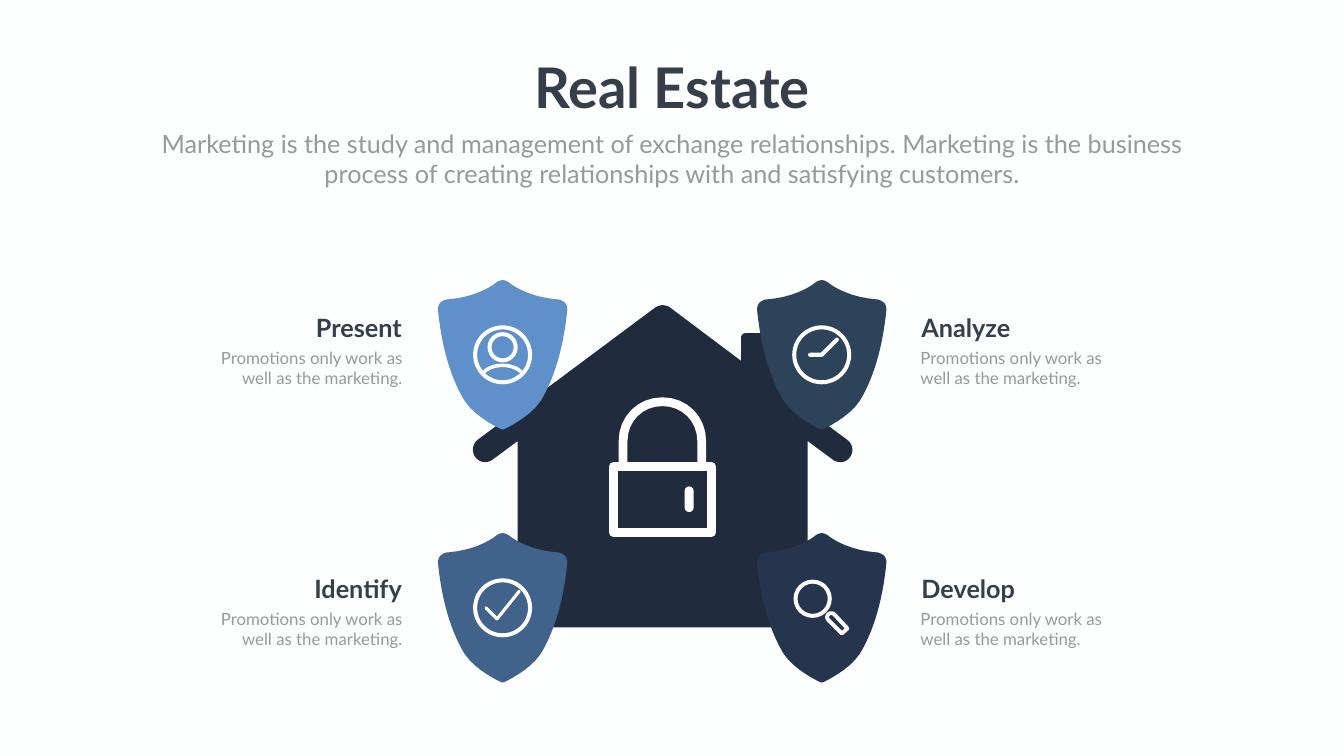
from lxml import etree
from pptx import Presentation
from pptx import util as u
from pptx.dml.color import RGBColor
from pptx.enum import shapes, text
from pptx.oxml import ns

BACKGROUND = RGBColor(0xFD, 0xFF, 0xFE)
WHITE = RGBColor(0xFF, 0xFF, 0xFF)
HEADING = RGBColor(0x35, 0x3E, 0x49)
MUTED = RGBColor(0x98, 0x99, 0x98)
HOUSE = RGBColor(0x20, 0x2C, 0x3D)
SKY = RGBColor(0x5F, 0x90, 0xC9)
SLATE = RGBColor(0x2D, 0x43, 0x59)
STEEL = RGBColor(0x41, 0x62, 0x8B)
NAVY = RGBColor(0x26, 0x35, 0x4E)

LEFT, CENTER, RIGHT = (
    text.PP_ALIGN.LEFT, text.PP_ALIGN.CENTER, text.PP_ALIGN.RIGHT)

HOUSE_OUTLINE = [
    (16.81, 8.73), (16.02, 8.14), (16.02, 6.7),
    (16.02, 6.65, 15.97, 6.61, 15.92, 6.61), (14.79, 6.61),
    (14.74, 6.61, 14.7, 6.65, 14.7, 6.7), (14.7, 7.16), (13.29, 6.1),
    (13.2, 6.04, 13.09, 6.04, 13, 6.1), (9.47, 8.73),
    (9.37, 8.81, 9.35, 8.97, 9.43, 9.07),
    (9.51, 9.18, 9.66, 9.2, 9.77, 9.12), (10.27, 8.75), (10.27, 12.11),
    (10.27, 12.31, 10.43, 12.45, 10.61, 12.45), (15.67, 12.45),
    (15.86, 12.45, 16.02, 12.31, 16.02, 12.11), (16.02, 8.75), (16.52, 9.12),
    (16.56, 9.15, 16.62, 9.17, 16.67, 9.17),
    (16.74, 9.17, 16.81, 9.14, 16.86, 9.07),
    (16.94, 8.97, 16.92, 8.81, 16.81, 8.73)]
HALF_SHIELD = [
    (0, 0.01), (0.05, 0.01, 0.09, 0.03, 0.13, 0.06),
    (0.27, 0.17, 0.59, 0.35, 1.08, 0.39),
    (1.14, 0.39, 1.19, 0.42, 1.24, 0.46),
    (1.27, 0.5, 1.29, 0.56, 1.28, 0.62),
    (1.26, 0.82, 1.22, 1.12, 1.14, 1.44),
    (1.04, 1.84, 0.9, 2.17, 0.75, 2.41),
    (0.53, 2.74, 0.04, 2.96, 0.02, 2.97), (0, 2.97)]
SHACKLE = [(12.36, 9.26), (12.36, 8.75), (12.36, 8.31, 12.7, 7.97, 13.14, 7.97),
           (13.58, 7.97, 13.92, 8.31, 13.92, 8.75), (13.92, 9.26)]
LOCK_BODY = [(12.17, 9.26), (14.11, 9.26), (14.11, 10.56), (12.17, 10.56)]
SHOULDERS = [(-0.36, 0.33), (-0.27, 0.25, -0.14, 0.21, 0, 0.21),
             (0.14, 0.21, 0.27, 0.25, 0.36, 0.33)]
CLOCK_HANDS = [(-0.23, 0), (0, 0), (0.3, -0.3)]
CHECK_MARK = [(-0.33, 0), (-0.11, 0.22), (0.33, -0.33)]
HANDLE = [(0.4, 0.51), (0.13, 0.24), (0.1, 0.21, 0.1, 0.16, 0.13, 0.13),
          (0.16, 0.1, 0.22, 0.1, 0.25, 0.13), (0.51, 0.41)]


def flatten(outline, steps=8):
    points = [outline[0]]
    for part in outline[1:]:
        if len(part) == 2:
            points.append(part)
            continue
        start, first, second, end = points[-1], part[:2], part[2:4], part[4:]
        for step in range(1, steps + 1):
            t = step / steps
            s = 1 - t
            points.append(tuple(
                s**3 * a + 3 * s * s * t * b + 3 * s * t * t * c + t**3 * d
                for a, b, c, d in zip(start, first, second, end)))
    return points


class SlideBuilder:
    font = "Lato"

    def __init__(self, slide):
        self.slide = slide
        slide.background.fill.solid()
        slide.background.fill.fore_color.rgb = BACKGROUND

    def set_text(self, shape, words, size, color, align, bold=False):
        frame = shape.text_frame
        frame.word_wrap = True
        frame.auto_size = text.MSO_AUTO_SIZE.NONE
        frame.vertical_anchor = text.MSO_ANCHOR.TOP
        paragraph = frame.paragraphs[0]
        paragraph.alignment = align
        paragraph.space_before = u.Pt(0)
        run = paragraph.add_run()
        run.text = words
        run.font.name = self.font
        run.font.size = u.Pt(size)
        run.font.bold = bold
        run.font.color.rgb = color
        return paragraph

    def placeholder(self, index, box, *style):
        shape = self.slide.placeholders[index]
        shape.left, shape.top, shape.width, shape.height = map(u.Inches, box)
        return self.set_text(shape, *style)

    def title(self, words):
        self.placeholder(0, (2.92, 1, 20.82, 1.45), words, 80, HEADING, CENTER, True)

    def subtitle(self, words):
        paragraph = self.placeholder(
            1, (2.92, 2.49, 20.82, 1.31), words, 36, MUTED, CENTER)
        properties = paragraph._p.get_or_add_pPr()
        properties.set("marL", "0")
        properties.set("indent", "0")
        etree.SubElement(properties, ns.qn("a:buNone"))

    def label(self, box, *style):
        self.set_text(self.slide.shapes.add_textbox(*map(u.Inches, box)), *style)

    def paint(self, shape, color):
        shape.shadow.inherit = False
        shape.fill.solid()
        shape.fill.fore_color.rgb = color
        shape.line.fill.background()

    def freeform(self, points, close):
        points = [(u.Inches(x), u.Inches(y)) for x, y in points]
        builder = self.slide.shapes.build_freeform(*points[0])
        builder.add_line_segments(points[1:], close=close)
        return builder.convert_to_shape()

    def solid(self, points, color):
        self.paint(self.freeform(points, True), color)

    def stroke(self, outline, width, origin=(0, 0), close=False):
        points = [(origin[0] + x, origin[1] + y) for x, y in flatten(outline)]
        shape = self.freeform(points, close)
        shape.shadow.inherit = False
        shape.fill.background()
        shape.line.color.rgb = WHITE
        shape.line.width = u.Pt(width)
        line = shape._element.spPr.find(ns.qn("a:ln"))
        line.set("cap", "rnd")
        etree.SubElement(line, ns.qn("a:round"))

    def preset(self, kind, box, adjustment):
        shape = self.slide.shapes.add_shape(kind, *map(u.Inches, box))
        shape.adjustments[0] = adjustment
        self.paint(shape, WHITE)

    def ring(self, x, y, size):
        self.preset(shapes.MSO_SHAPE.DONUT,
                    (x - size / 2, y - size / 2, size, size), 0.08 / size)

    def shield(self, x, top, color):
        half = flatten(HALF_SHIELD)
        outline = half + [(-dx, dy) for dx, dy in reversed(half[1:-1])]
        self.solid([(x + dx, top + dy) for dx, dy in outline], color)

    def lock(self):
        self.stroke(SHACKLE, 12.5)
        self.stroke(LOCK_BODY, 13, close=True)
        self.preset(shapes.MSO_SHAPE.ROUNDED_RECTANGLE, (13.58, 9.65, 0.18, 0.51), 0.5)


def main():
    presentation = Presentation()
    presentation.slide_width = u.Inches(26.66)
    presentation.slide_height = u.Inches(15)
    builder = SlideBuilder(presentation.slides.add_slide(presentation.slide_layouts[1]))
    builder.title("Real Estate")
    builder.subtitle(
        "Marketing is the study and management of exchange relationships. "
        "Marketing is the business process of creating relationships with "
        "and satisfying customers.")
    builder.solid(flatten(HOUSE_OUTLINE), HOUSE)
    builder.lock()

    left_side = (9.97, 5.46, 4.06, RIGHT)
    right_side = (16.3, 18.18, 18.16, LEFT)
    upper_row, lower_row = (5.55, 6.15), (10.57, 11.33)
    outer_ring = (0, 0, 1.17)
    steps = [
        ("Present", left_side, upper_row, SKY,
         [outer_ring, (0, -0.15, 0.6)], SHOULDERS, 5, False),
        ("Analyze", right_side, upper_row, SLATE,
         [outer_ring], CLOCK_HANDS, 6, False),
        ("Identify", left_side, lower_row, STEEL,
         [outer_ring], CHECK_MARK, 4.5, False),
        ("Develop", right_side, lower_row, NAVY,
         [(-0.18, -0.18, 0.76)], HANDLE, 5.5, True)]
    for name, side, row, color, rings, icon, width, close in steps:
        x, name_left, detail_left, align = side
        shield_top, name_top = row
        y = shield_top + 1.49
        builder.shield(x, shield_top, color)
        for dx, dy, size in rings:
            builder.ring(x + dx, y + dy, size)
        builder.stroke(icon, width, (x, y), close)
        builder.label((name_left, name_top, 2.61, 0.71), name, 36, HEADING, align, True)
        builder.label((detail_left, name_top + 0.7, 4.02, 0.91),
                      "Promotions only work as well as the marketing.",
                      24, MUTED, align)
    presentation.save("out.pptx")


if __name__ == "__main__":
    main()
